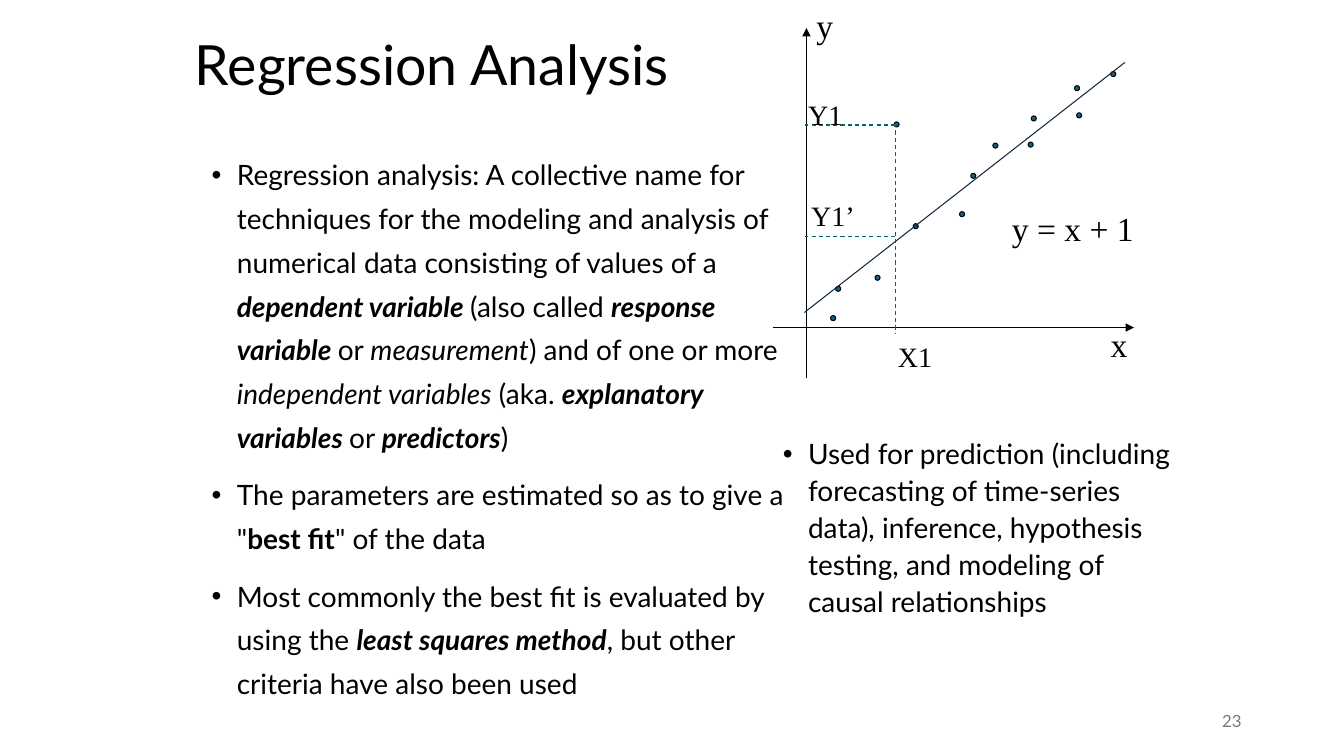
from dataclasses import dataclass

from lxml.etree import SubElement
from pptx import Presentation
from pptx.dml.color import RGBColor as RGB
from pptx.enum.dml import MSO_LINE as DASH
from pptx.enum.shapes import MSO_CONNECTOR as CONN, MSO_SHAPE as SHAPE
from pptx.enum.text import MSO_ANCHOR as ANCHOR, MSO_AUTO_SIZE as FIT, PP_ALIGN as ALIGN
from pptx.oxml.ns import qn
from pptx.util import Pt


@dataclass(frozen=True)
class Theme:
    sans: str = "Lato"
    serif: str = "Times New Roman"
    ink: RGB = RGB(0x00, 0x00, 0x00)
    muted: RGB = RGB(0x79, 0x79, 0x79)
    dot: RGB = RGB(0x15, 0x60, 0x82)
    fit: RGB = RGB(0x0E, 0x28, 0x41)
    guide: RGB = RGB(0x00, 0x66, 0x66)
    title_size: float = 39.6
    body_size: float = 20
    axis_size: float = 24
    value_size: float = 20
    number_size: float = 12
    line_width: float = 0.75
    dot_size: float = 3.6


PLAIN, BOLD, ITALIC, BOTH = (False, False), (True, False), (False, True), (True, True)

DEFINITION = [
    [("Regression analysis: A collective name for techniques for the modeling and "
      "analysis of numerical data consisting of values of a ", PLAIN),
     ("dependent variable ", BOTH), ("(also called ", PLAIN),
     ("response variable ", BOTH), ("or ", PLAIN), ("measurement", ITALIC),
     (") and of one or more ", PLAIN), ("independent variables", ITALIC),
     (" (aka. ", PLAIN), ("explanatory variables ", BOTH), ("or ", PLAIN),
     ("predictors", BOTH), (")", PLAIN)],
    [('The parameters are estimated so as to give a "', PLAIN),
     ("best fit", BOLD), ('" of the data', PLAIN)],
    [("Most commonly the best fit is evaluated by using the ", PLAIN),
     ("least squares method", BOTH), (", but other criteria have also been used", PLAIN)],
]
USES = [
    [("Used for prediction (including forecasting of time-series data), inference, "
      "hypothesis testing, and modeling of causal relationships", PLAIN)],
]
OBSERVATIONS = [
    (595.1, 227.2), (598.7, 206.3), (626.8, 198.4), (640.4, 88.9), (654.1, 161.6),
    (687.2, 153), (695.2, 125.6), (711, 104), (736.2, 103.3), (738.4, 84.6),
    (769.3, 63), (770.8, 82.4), (795.2, 52.9),
]


class SlideBuilder:
    def __init__(self, prs, theme):
        self.theme = theme
        self.slide = prs.slides.add_slide(prs.slide_layouts[3])

    def style(self, r, size, font, color):
        r.font.size, r.font.name = Pt(size), font
        r.font.color.rgb = color

    def place(self, sp, x, y, w, h):
        sp.left, sp.top, sp.width, sp.height = Pt(x), Pt(y), Pt(w), Pt(h)
        sp.text_frame.auto_size = FIT.NONE
        return sp.text_frame

    def title(self, text, *box):
        tf = self.place(self.slide.shapes.title, *box)
        tf.text = text
        tf.vertical_anchor = ANCHOR.MIDDLE
        p = tf.paragraphs[0]
        p.alignment, p.line_spacing = ALIGN.LEFT, 0.9
        self.style(p.runs[0], self.theme.title_size, self.theme.sans, self.theme.ink)

    def bullets(self, index, items, spacing, *box):
        tf = self.place(self.slide.placeholders[index], *box)
        for i, segments in enumerate(items):
            p = tf.add_paragraph() if i else tf.paragraphs[0]
            p.line_spacing, p.space_before = spacing, Pt(10 if i else 0)
            pPr = p._p.get_or_add_pPr()
            pPr.set("marL", str(Pt(18)))
            pPr.set("indent", str(-Pt(18)))
            SubElement(pPr, qn("a:buFont")).set("typeface", "Arial")
            SubElement(pPr, qn("a:buChar")).set("char", "•")
            for text, (bold, italic) in segments:
                r = p.add_run()
                r.text = text
                r.font.bold, r.font.italic = bold, italic
                self.style(r, self.theme.body_size, self.theme.sans, self.theme.ink)

    def label(self, text, size, x, y, w, h):
        tf = self.slide.shapes.add_textbox(Pt(x), Pt(y), Pt(w), Pt(h)).text_frame
        tf.text = text
        tf.word_wrap = False
        self.style(tf.paragraphs[0].runs[0], size, self.theme.serif, self.theme.ink)

    def number(self, text, x, y, w, h):
        tf = self.slide.shapes.add_textbox(Pt(x), Pt(y), Pt(w), Pt(h)).text_frame
        tf.text = text
        tf.word_wrap = True
        tf.vertical_anchor = ANCHOR.MIDDLE
        p = tf.paragraphs[0]
        p.alignment = ALIGN.RIGHT
        self.style(p.runs[0], self.theme.number_size, self.theme.sans, self.theme.muted)

    def line(self, x1, y1, x2, y2, color, dashed=False, arrow=False):
        c = self.slide.shapes.add_connector(CONN.STRAIGHT, Pt(x1), Pt(y1), Pt(x2), Pt(y2))
        c.line.color.rgb, c.line.width = color, Pt(self.theme.line_width)
        if dashed:
            c.line.dash_style = DASH.DASH
        if arrow:
            SubElement(c.line._get_or_add_ln(), qn("a:tailEnd")).set("type", "triangle")
        SubElement(c._element.spPr, qn("a:effectLst"))

    def dot(self, x, y):
        d = self.theme.dot_size
        sp = self.slide.shapes.add_shape(
            SHAPE.OVAL, Pt(x - d / 2), Pt(y - d / 2), Pt(d), Pt(d))
        sp.shadow.inherit = False
        sp.fill.solid()
        sp.fill.fore_color.rgb = self.theme.dot
        sp.line.color.rgb, sp.line.width = self.theme.ink, Pt(self.theme.line_width)


def main():
    prs = Presentation()
    prs.slide_width, prs.slide_height = Pt(960), Pt(540)
    theme = Theme()
    s = SlideBuilder(prs, theme)

    s.title("Regression Analysis", 132, 24, 492, 48)
    s.bullets(1, DEFINITION, 1.3, 144, 102, 426, 408)
    s.bullets(2, USES, 1.1, 552, 306, 300, 180)

    s.line(552, 234, 810, 234, theme.ink, arrow=True)
    s.line(576, 270, 576, 20, theme.ink, arrow=True)
    for x, y in OBSERVATIONS:
        s.dot(x, y)
    s.line(574.6, 223.2, 803.5, 44.6, theme.fit)
    s.line(640, 88, 640, 238.3, theme.guide, dashed=True)
    for y in (89.3, 169.2):
        s.line(639.4, y, 575, y, theme.guide, dashed=True)

    s.label("y", theme.axis_size, 576, 0, 26.6, 36)
    s.label("x", theme.axis_size, 786.2, 228.2, 26.6, 36)
    s.label("y = x + 1", theme.axis_size, 715.7, 144.7, 101.5, 36)
    s.label("X1", theme.value_size, 634.3, 239, 38.9, 31)
    s.label("Y1", theme.value_size, 570.2, 66.2, 38.9, 31)
    s.label("Y1’", theme.value_size, 572.4, 138.2, 45.4, 31)
    s.number("23", 678, 500.4, 216, 28.8)

    prs.save("out.pptx")


if __name__ == "__main__":
    main()
